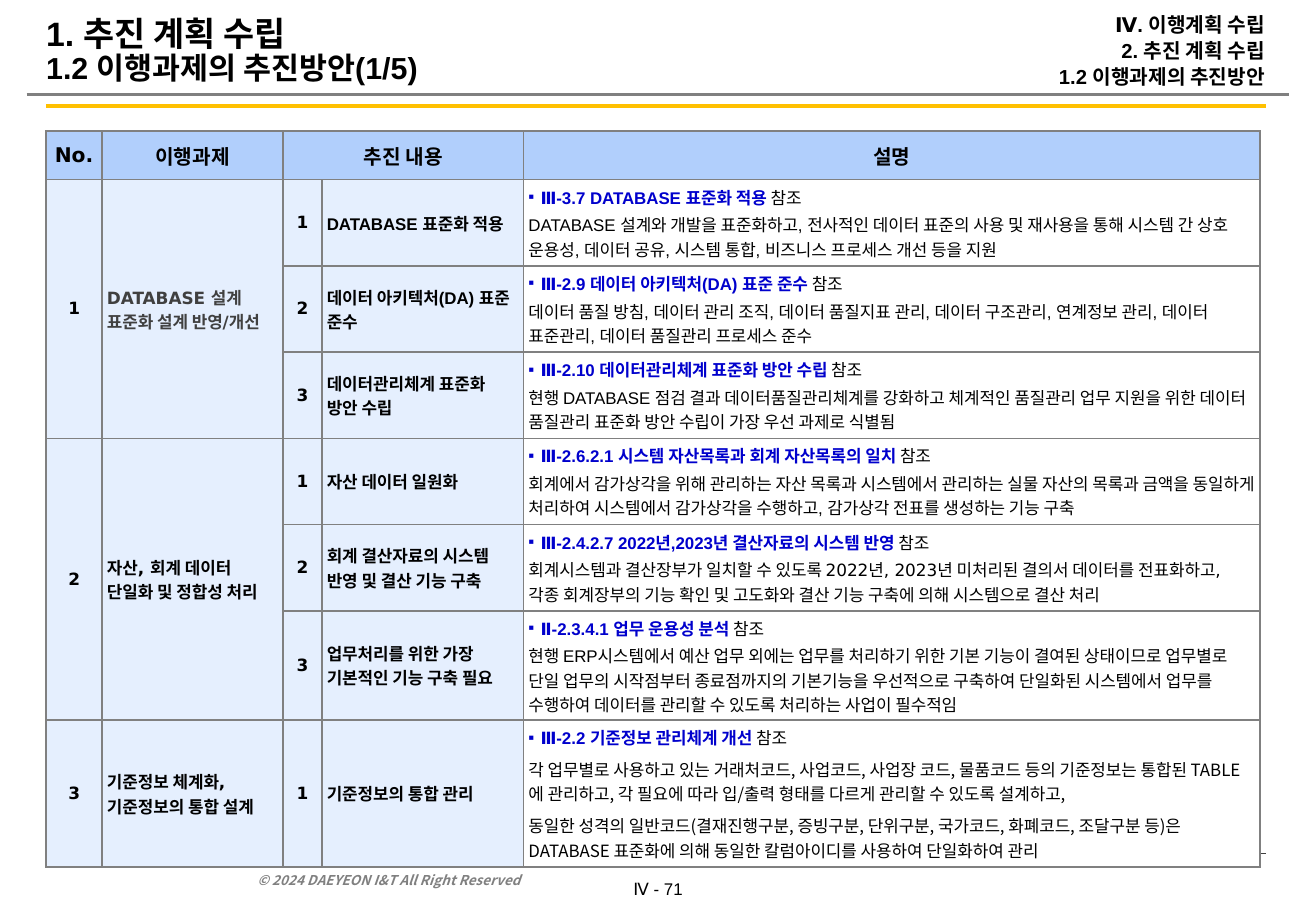
from lxml import etree
from pptx import Presentation
from pptx import util as u
from pptx.dml.color import RGBColor
from pptx.enum import shapes, text
from pptx.oxml.ns import qn

COLORS = {"black": "000000", "gray": "808080", "dark": "404040", "gold": "FFC000",
          "blue": "0000CC", "header": "B1CFFC", "label": "E5EFFE", "white": "FFFFFF"}
ARIAL, DEJAVU, NOTO = "Arial", "DejaVu Sans", "Noto Sans CJK KR"
LEFT, CENTER, RIGHT = text.PP_ALIGN.LEFT, text.PP_ALIGN.CENTER, text.PP_ALIGN.RIGHT
MIDDLE, BOTTOM = text.MSO_ANCHOR.MIDDLE, text.MSO_ANCHOR.BOTTOM

# Content
TITLE = [("1. 추진 계획 수립 \v", 20), ("1.2 이행과제의 추진방안(1/5)", 18)]
BREADCRUMB = ["Ⅳ. 이행계획 수립", "2. 추진 계획 수립", "1.2 이행과제의 추진방안"]
COPYRIGHT = "© 2024 DAEYEON I&T All Right Reserved"
PAGE = "Ⅳ - 71"
RULES = [(0.22, 10.61, 0.78, "gray", 1.5), (0.38, 10.42, 0.87, "gold", 2.5),
         (0.38, 10.42, 7.03, "dark", 0.5)]
HEADERS = {0: "No.", 1: "이행과제", 2: "추진 내용", 4: "설명"}
COLUMN_WIDTHS = [0.46, 1.49, 0.32, 1.66, 6.06]
ROW_HEIGHTS = [0.4] + [0.71] * 5 + [0.9, 1.21]

# Each task: name, colour, topic font, then (topic, reference, description font, descriptions)
TASKS = [
    ("DATABASE 설계 표준화 설계 반영/개선", "dark", ARIAL, [
        ("DATABASE 표준화 적용", "Ⅲ-3.7 DATABASE 표준화 적용 ", ARIAL,
         ["DATABASE 설계와 개발을 표준화하고, 전사적인 데이터 표준의 사용 및 재사용을 통해 시스템 간 상호 "
          "운용성, 데이터 공유, 시스템 통합, 비즈니스 프로세스 개선 등을 지원"]),
        ("데이터 아키텍처(DA) 표준 준수", "Ⅲ-2.9 데이터 아키텍처(DA) 표준 준수 ", ARIAL,
         ["데이터 품질 방침, 데이터 관리 조직, 데이터 품질지표 관리, 데이터 구조관리, 연계정보 관리, "
          "데이터 표준관리, 데이터 품질관리 프로세스 준수"]),
        ("데이터관리체계 표준화 방안 수립", "Ⅲ-2.10 데이터관리체계 표준화 방안 수립 ", ARIAL,
         ["현행 DATABASE 점검 결과 데이터품질관리체계를 강화하고 체계적인 품질관리 업무 지원을 위한 "
          "데이터 품질관리 표준화 방안 수립이 가장 우선 과제로 식별됨"]),
    ]),
    ("자산, 회계 데이터 단일화 및 정합성 처리", "black", DEJAVU, [
        ("자산 데이터 일원화", "Ⅲ-2.6.2.1 시스템 자산목록과 회계 자산목록의 일치 ", ARIAL,
         ["회계에서 감가상각을 위해 관리하는 자산 목록과 시스템에서 관리하는 실물 자산의 목록과 금액을 "
          "동일하게 처리하여 시스템에서 감가상각을 수행하고, 감가상각 전표를 생성하는 기능 구축"]),
        ("회계 결산자료의 시스템 반영 및 결산 기능 구축",
         "Ⅲ-2.4.2.7 2022년,2023년 결산자료의 시스템 반영 ", DEJAVU,
         ["회계시스템과 결산장부가 일치할 수 있도록 2022년, 2023년 미처리된 결의서 데이터를 전표화하고, "
          "각종 회계장부의 기능 확인 및 고도화와 결산 기능 구축에 의해 시스템으로 결산 처리"]),
        ("업무처리를 위한 가장 기본적인 기능 구축 필요", "Ⅱ-2.3.4.1 업무 운용성 분석 ", ARIAL,
         ["현행 ERP시스템에서 예산 업무 외에는 업무를 처리하기 위한 기본 기능이 결여된 상태이므로 업무별로 "
          "단일 업무의 시작점부터 종료점까지의 기본기능을 우선적으로 구축하여 단일화된 시스템에서 업무를 "
          "수행하여 데이터를 관리할 수 있도록 처리하는 사업이 필수적임"]),
    ]),
    ("기준정보 체계화, 기준정보의 통합 설계", "black", DEJAVU, [
        ("기준정보의 통합 관리", "Ⅲ-2.2 기준정보 관리체계 개선 ", NOTO,
         ["각 업무별로 사용하고 있는 거래처코드, 사업코드, 사업장 코드, 물품코드 등의 기준정보는 통합된 "
          "TABLE에 관리하고, 각 필요에 따라 입/출력 형태를 다르게 관리할 수 있도록 설계하고,",
          "동일한 성격의 일반코드(결재진행구분, 증빙구분, 단위구분, 국가코드, 화폐코드, 조달구분 등)은 "
          "DATABASE 표준화에 의해 동일한 칼럼아이디를 사용하여 단일화하여 관리"]),
    ]),
]


def rgb(name):
    return RGBColor.from_string(COLORS[name])


def style(target, **values):
    for name, value in values.items():
        setattr(target, name, value)


def write(paragraph, wording, size=10, font=ARIAL, color="black", bold=True, italic=False):
    """Add one run without kerning; a vertical tab at its end becomes a line break."""
    run = paragraph.add_run()
    run.text = wording.rstrip("\v")
    style(run.font, size=u.Pt(size), bold=bold, italic=italic, name=font)
    run.font.color.rgb = rgb(color)
    run.font._element.set("kern", "0")
    etree.SubElement(run.font._element, qn("a:ea"), typeface=NOTO)
    if wording.endswith("\v"):
        paragraph.add_line_break()


def text_box(slide, left, top, width, height, anchor, insets=(0, 0), wrap=True):
    frame = slide.shapes.add_textbox(*map(u.Inches, (left, top, width, height))).text_frame
    side, edge = map(u.Inches, insets)
    style(frame, word_wrap=wrap, vertical_anchor=anchor, margin_left=side,
          margin_right=side, margin_top=edge, margin_bottom=edge)
    return frame


def format_cell(cell, fill):
    inset = u.Inches(0.04)
    style(cell, vertical_anchor=MIDDLE, margin_left=inset, margin_right=inset,
          margin_top=inset, margin_bottom=inset)
    properties = cell._tc.get_or_add_tcPr()
    for side in ("a:lnL", "a:lnR", "a:lnT", "a:lnB"):
        line = etree.SubElement(properties, qn(side), w=str(u.Pt(1)))
        solid = etree.SubElement(line, qn("a:solidFill"))
        etree.SubElement(solid, qn("a:srgbClr"), val=COLORS["gray"])
    cell.fill.solid()
    cell.fill.fore_color.rgb = rgb(fill)


def label(cell, wording, align=CENTER, **values):
    paragraph = cell.text_frame.paragraphs[0]
    paragraph.alignment = align
    write(paragraph, wording, **{"font": DEJAVU, **values})


def explain(cell, reference, font, descriptions):
    """Bulleted reference followed by its description paragraphs."""
    frame = cell.text_frame
    paragraph = frame.paragraphs[0]
    properties = paragraph._p.get_or_add_pPr()
    indent = u.Inches(0.1)
    properties.set("marL", str(indent))
    properties.set("indent", str(-indent))
    etree.SubElement(properties, qn("a:buFont"), typeface=ARIAL)
    etree.SubElement(properties, qn("a:buChar"), char="▪")
    write(paragraph, reference, color="blue")
    write(paragraph, "참조", bold=False)
    for description in descriptions:
        paragraph = frame.add_paragraph()
        paragraph.space_before = u.Pt(4.5 if len(descriptions) > 1 else 2)
        write(paragraph, description, font=font, bold=False)


presentation = Presentation()
style(presentation, slide_width=u.Inches(10.83), slide_height=u.Inches(7.5))
slide = presentation.slides.add_slide(presentation.slide_layouts[6])

# Rules
for start, end, y, color, width in RULES:
    rule = slide.shapes.add_connector(shapes.MSO_CONNECTOR.STRAIGHT,
                                      *map(u.Inches, (start, y, end, y)))
    rule.line.color.rgb = rgb(color)
    rule.line.width = u.Pt(width)
    etree.SubElement(rule._element.spPr, qn("a:effectLst"))

# Footer
page = text_box(slide, 5.12, 7.18, 0.59, 0.27, MIDDLE, (0.06, 0.05), wrap=False).paragraphs[0]
page.alignment = CENTER
write(page, PAGE, bold=False)
footer = text_box(slide, 2.02, 7.09, 3.02, 0.27, BOTTOM, (0.1, 0.05))
write(footer.paragraphs[0], COPYRIGHT, size=8, font=NOTO, color="gray", italic=True)

# Title and breadcrumb
title = text_box(slide, 0.38, 0, 7.87, 0.85, MIDDLE).paragraphs[0]
title.line_spacing = 0.9
for wording, size in TITLE:
    write(title, wording, size=size)
breadcrumb = text_box(slide, 4.71, 0, 5.7, 0.86, MIDDLE)
for index, wording in enumerate(BREADCRUMB):
    paragraph = breadcrumb.add_paragraph() if index else breadcrumb.paragraphs[0]
    style(paragraph, alignment=RIGHT, line_spacing=0.9)
    if index:
        paragraph.space_before = u.Pt(2.4)
    write(paragraph, wording, size=12)

# Table grid
table = slide.shapes.add_table(
    len(ROW_HEIGHTS), len(COLUMN_WIDTHS), u.Inches(0.38), u.Inches(1.08),
    u.Inches(sum(COLUMN_WIDTHS)), u.Inches(sum(ROW_HEIGHTS))).table
for column, width in zip(table.columns, COLUMN_WIDTHS):
    column.width = u.Inches(width)
for r, height in enumerate(ROW_HEIGHTS):
    table.rows[r].height = u.Inches(height)
    for c in range(len(COLUMN_WIDTHS)):
        format_cell(table.cell(r, c), "header" if r == 0 else "white" if c == 4 else "label")

# Table text
table.cell(0, 2).merge(table.cell(0, 3))
for c, wording in HEADERS.items():
    label(table.cell(0, c), wording, size=12)
row = 1
for number, (task, color, topic_font, items) in enumerate(TASKS, 1):
    if len(items) > 1:
        for c in (0, 1):
            table.cell(row, c).merge(table.cell(row + len(items) - 1, c))
    label(table.cell(row, 0), str(number))
    label(table.cell(row, 1), task, LEFT, color=color)
    for order, (topic, reference, font, descriptions) in enumerate(items, 1):
        label(table.cell(row, 2), str(order))
        label(table.cell(row, 3), topic, LEFT, font=topic_font)
        explain(table.cell(row, 4), reference, font, descriptions)
        row += 1

presentation.save("out.pptx")
